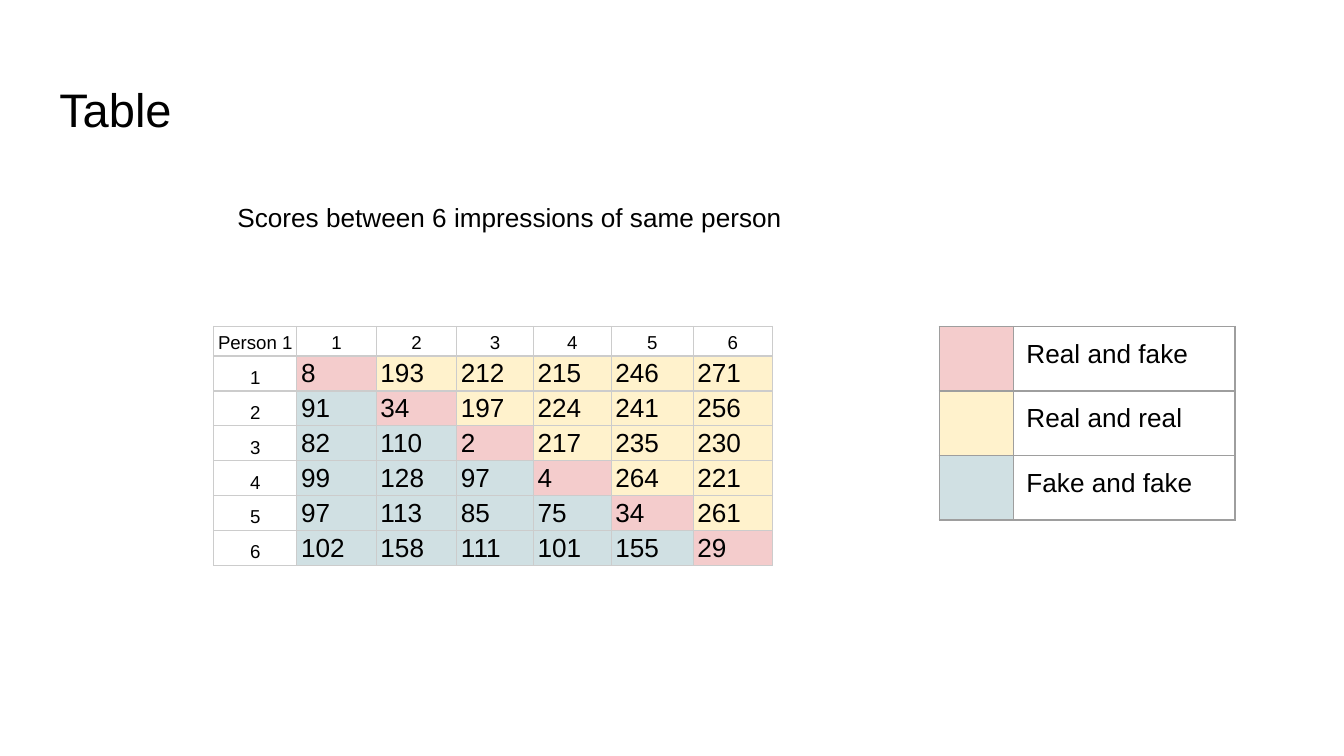
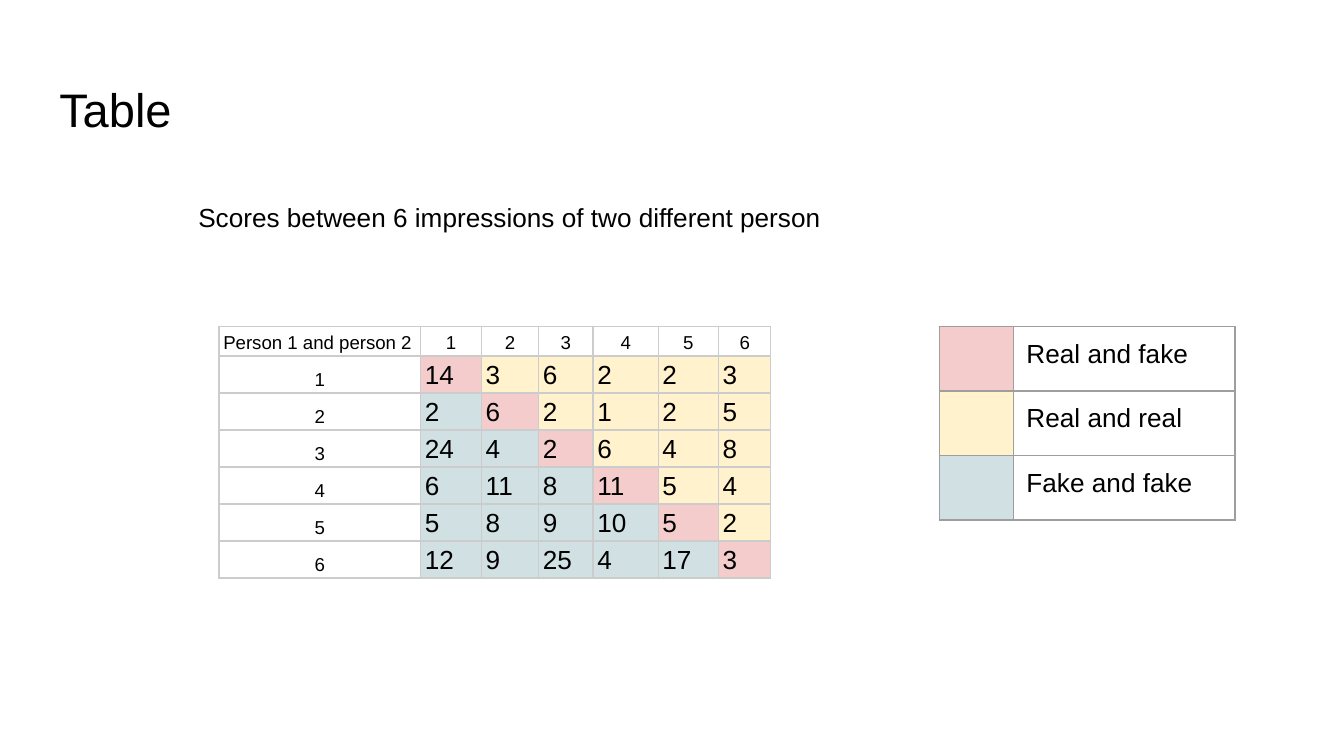
from lxml import etree
from pptx import Presentation
from pptx import util as u
from pptx.dml.color import RGBColor
from pptx.enum import text
from pptx.oxml.ns import qn

HUES = {
    "ink": "000000",
    "mixed": "F4CCCC",
    "real": "FFF2CC",
    "fake": "D0E0E3",
    "rule": "CCCCCC",
    "key": "9E9E9E",
}
FONT = "Arial"
PAD = u.Cm(0.25)
TOP = 6.17
LEGEND = [("mixed", "Real and fake"), ("real", "Real and real"),
          ("fake", "Fake and fake")]

PAGES = [
    {
        "note": "Scores between 6 impressions of same person",
        "corner": "Person 1",
        "left": 4.04,
        "cols": [1.57, 1.5, 1.52, 1.45, 1.47, 1.55, 1.5],
        "row": 0.66,
        "scores": [
            [8, 193, 212, 215, 246, 271],
            [91, 34, 197, 224, 241, 256],
            [82, 110, 2, 217, 235, 230],
            [99, 128, 97, 4, 264, 221],
            [97, 113, 85, 75, 34, 261],
            [102, 158, 111, 101, 155, 29],
        ],
    },
    {
        "note": "Scores between 6 impressions of two different person",
        "corner": "Person 1 and person 2",
        "left": 4.14,
        "cols": [3.81, 1.15, 1.08, 1.03, 1.23, 1.14, 0.99],
        "row": 0.7,
        "scores": [
            [14, 3, 6, 2, 2, 3],
            [2, 6, 2, 1, 2, 5],
            [24, 4, 2, 6, 4, 8],
            [6, 11, 8, 11, 5, 4],
            [5, 8, 9, 10, 5, 2],
            [12, 9, 25, 4, 17, 3],
        ],
    },
]


def style(frame, words, size, pads=(PAD, PAD), align=text.PP_ALIGN.LEFT):
    """Put words into a text frame or cell; pads are the side and top insets."""
    frame.margin_left = frame.margin_right = pads[0]
    frame.margin_top = frame.margin_bottom = pads[1]
    body = getattr(frame, "text_frame", frame)
    body.text = words
    para = body.paragraphs[0]
    para.alignment = align
    for run in para.runs:
        run.font.size = u.Pt(size)
        run.font.name = FONT
        run.font.color.rgb = RGBColor.from_string(HUES["ink"])
    return para


def grid(slide, left, cols, rows, rule, fills):
    """Add a ruled table; fills holds a hue name or None for each cell."""
    table = slide.shapes.add_table(
        len(rows), len(cols), u.Cm(left), u.Cm(TOP),
        u.Cm(sum(cols)), u.Cm(sum(rows))).table
    table.first_row = table.horz_banding = False
    for col, width in zip(table.columns, cols):
        col.width = u.Cm(width)
    for row, height, hues in zip(table.rows, rows, fills):
        row.height = u.Cm(height)
        for cell, hue in zip(row.cells, hues):
            props = cell._tc.get_or_add_tcPr()
            for side in ("lnL", "lnR", "lnT", "lnB"):
                line = etree.SubElement(props, qn("a:" + side), w=str(u.Pt(0.75)))
                solid = etree.SubElement(line, qn("a:solidFill"))
                etree.SubElement(solid, qn("a:srgbClr"), val=HUES[rule])
            if hue:
                cell.fill.solid()
                cell.fill.fore_color.rgb = RGBColor.from_string(HUES[hue])
            else:
                cell.fill.background()
    return table


deck = Presentation()
deck.slide_width, deck.slide_height = u.Cm(25.4), u.Cm(14.29)

for page in PAGES:
    slide = deck.slides.add_slide(deck.slide_layouts[5])

    title = slide.shapes.title
    title.left, title.top = u.Cm(0.87), u.Cm(1.24)
    title.width, title.height = u.Cm(23.67), u.Cm(1.6)
    frame = title.text_frame
    frame.auto_size = text.MSO_AUTO_SIZE.NONE
    frame.vertical_anchor = text.MSO_ANCHOR.BOTTOM
    style(frame, "Table", 25.2)

    # Scores: the diagonal compares a real print with its own fake
    scores = page["scores"]
    count = len(scores)
    fills = [[None] * (count + 1)]
    for r in range(count):
        fills.append([None] + ["fake"] * r + ["mixed"] + ["real"] * (count - r - 1))
    table = grid(slide, page["left"], page["cols"],
                 [0.56] + [page["row"]] * count, "rule", fills)
    heads = [str(n + 1) for n in range(count)]
    lines = [[page["corner"]] + heads]
    lines += [[head] + row for head, row in zip(heads, scores)]
    for r, line in enumerate(lines):
        for c, value in enumerate(line):
            label = r == 0 or c == 0
            centre = label and r + c > 0
            cell = table.cell(r, c)
            cell.vertical_anchor = text.MSO_ANCHOR.BOTTOM
            para = style(cell, str(value), 10 if label else 14,
                         (u.Cm(0.08), u.Cm(0.05)),
                         text.PP_ALIGN.CENTER if centre else text.PP_ALIGN.LEFT)
            if label:
                para.line_spacing = 1.15

    legend = grid(slide, 17.75, [1.4, 4.19], [1.22] * len(LEGEND), "key",
                  [(hue, None) for hue, _ in LEGEND])
    for r, (_, words) in enumerate(LEGEND):
        style(legend.cell(r, 1), words, 14)

    note = slide.shapes.add_textbox(u.Cm(3.3), u.Cm(3.56), u.Cm(12.67), u.Cm(1.12))
    note.text_frame.word_wrap = True
    style(note.text_frame, page["note"], 14, align=text.PP_ALIGN.CENTER)

deck.save("out.pptx")
